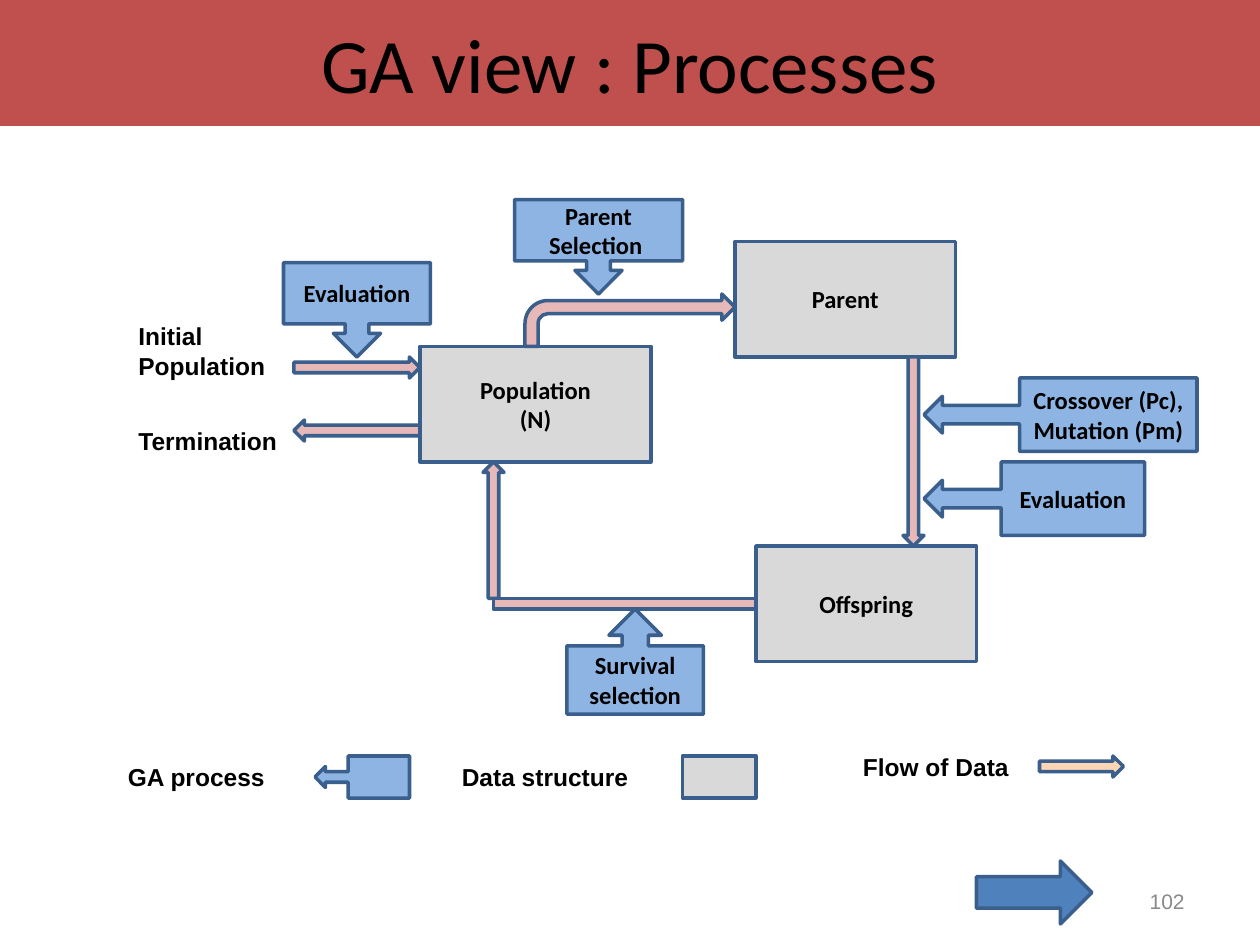
from pptx import Presentation
from pptx.dml.color import RGBColor
from pptx.enum.shapes import MSO_SHAPE
from pptx.enum.text import MSO_ANCHOR, PP_ALIGN
from pptx.util import Inches, Pt

COLORS = {
    "banner": "C0504D", "process": "8EB4E3", "structure": "D9D9D9",
    "flow": "E6B9B8", "flow_key": "FCD5B5", "next": "4F81BD",
    "outline": "3A5F8C", "text": "000000", "number": "898989",
}

deck = Presentation()
deck.slide_width, deck.slide_height = Inches(10), Inches(7.5)
page = deck.slides.add_slide(deck.slide_layouts[6])
cell = deck.slide_width / 120  # grid of 120 columns by 90 rows


def add_shape(kind, grid, color, outlined=True):
    shape = page.shapes.add_shape(kind, *(round(n * cell) for n in grid))
    shape.shadow.inherit = False
    shape.fill.solid()
    shape.fill.fore_color.rgb = RGBColor.from_string(COLORS[color])
    if outlined:
        shape.line.color.rgb = RGBColor.from_string(COLORS["outline"])
        shape.line.width = Pt(2)
    else:
        shape.line.fill.background()
    return shape


def write(shape, text, size=14, font="Calibri", color="text", bold=True,
          align=PP_ALIGN.CENTER, anchor=MSO_ANCHOR.MIDDLE):
    frame = shape.text_frame
    frame.word_wrap = True
    frame.vertical_anchor = anchor
    frame.text = text
    for para in frame.paragraphs:
        para.alignment = align
        para.font.size, para.font.name, para.font.bold = Pt(size), font, bold
        para.font.color.rgb = RGBColor.from_string(COLORS[color])


# Title banner
banner = add_shape(MSO_SHAPE.RECTANGLE, (0, 0, 120, 12), "banner", outlined=False)
write(banner, "GA view : Processes", size=44, bold=False)

# Data structures, the last one being the legend key
for text, grid in [
    ("Population\n(N)", (40, 33, 22, 11)),
    ("Parent", (70, 23, 21, 11)),
    ("Offspring", (72, 52, 21, 11)),
    ("", (65, 72, 7, 4)),
]:
    box = add_shape(MSO_SHAPE.RECTANGLE, grid, "structure")
    if text:
        write(box, text)

# Flow of data
for kind, grid, color in [
    (MSO_SHAPE.RIGHT_ARROW, (28, 34, 12, 2), "flow"),
    (MSO_SHAPE.LEFT_ARROW, (28, 40, 12, 2), "flow"),
    (MSO_SHAPE.BENT_ARROW, (50, 28, 20, 5), "flow"),
    (MSO_SHAPE.DOWN_ARROW, (86, 34, 2, 18), "flow"),
    (MSO_SHAPE.UP_ARROW, (46, 44, 2, 13), "flow"),
    (MSO_SHAPE.RECTANGLE, (47, 57, 25, 1), "flow"),
    (MSO_SHAPE.RIGHT_ARROW, (99, 72, 8, 2), "flow_key"),
    (MSO_SHAPE.RIGHT_ARROW, (93, 82, 11, 6), "next"),
]:
    add_shape(kind, grid, color)

# GA processes, the last one being the legend key
for text, kind, grid in [
    ("Evaluation", MSO_SHAPE.DOWN_ARROW_CALLOUT, (27, 25, 14, 9)),
    ("Parent Selection ", MSO_SHAPE.DOWN_ARROW_CALLOUT, (49, 19, 16, 9)),
    ("Crossover (Pc), Mutation (Pm)", MSO_SHAPE.LEFT_ARROW_CALLOUT, (88, 36, 26, 7)),
    ("Evaluation", MSO_SHAPE.LEFT_ARROW_CALLOUT, (88, 44, 21, 7)),
    ("Survival selection", MSO_SHAPE.UP_ARROW_CALLOUT, (54, 58, 13, 10)),
    ("", MSO_SHAPE.LEFT_ARROW_CALLOUT, (30, 72, 9, 4)),
]:
    callout = add_shape(kind, grid, "process")
    if text:
        write(callout, text)

# Labels of the flow and the legend
for text, grid in [
    ("Initial Population", (12, 30, 15, 7)),
    ("Termination", (12, 40, 17, 4)),
    ("GA process", (11, 72, 18, 4)),
    ("Data structure", (42.8, 72, 22.2, 4)),
    ("Flow of Data", (81, 71, 18, 4)),
]:
    label = page.shapes.add_textbox(*(round(n * cell) for n in grid))
    write(label, text, font="Arial", align=PP_ALIGN.LEFT, anchor=MSO_ANCHOR.TOP)

# Page number
number = page.shapes.add_textbox(*(round(n * cell) for n in (86, 83.4, 28, 4.8)))
write(number, "102", size=12, font="Arial", color="number", bold=False,
      align=PP_ALIGN.RIGHT)

deck.save("out.pptx")
